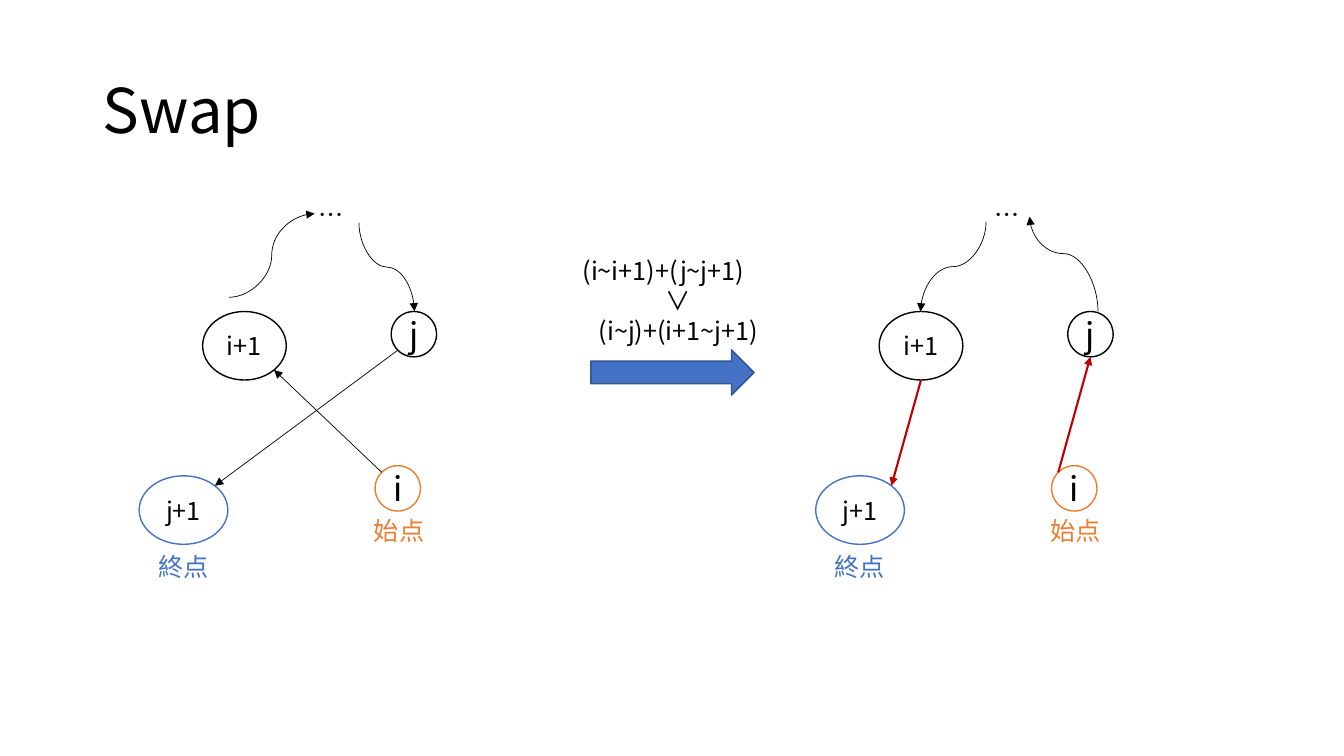
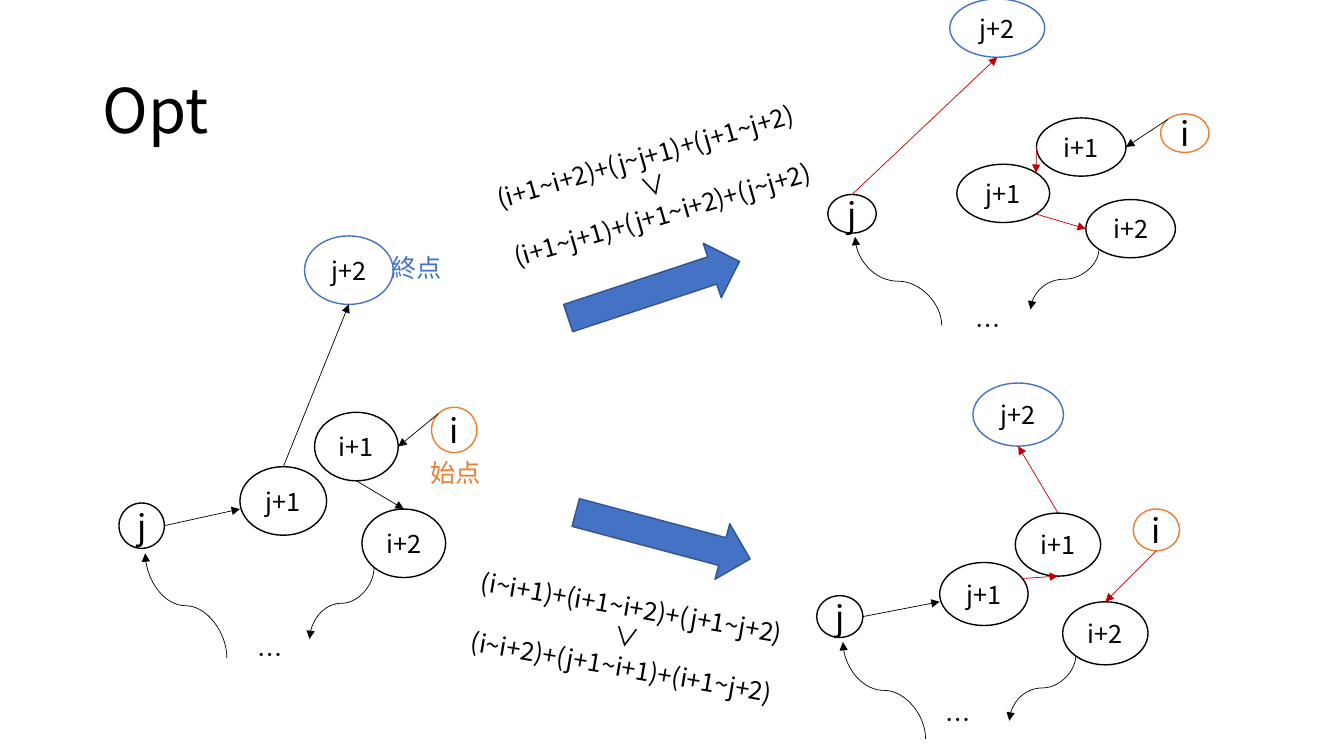
from math import cos, radians, sin

from lxml.etree import SubElement
from pptx import Presentation
from pptx.dml.color import RGBColor
from pptx.enum.shapes import MSO_CONNECTOR, MSO_SHAPE
from pptx.enum.text import MSO_ANCHOR, MSO_AUTO_SIZE, PP_ALIGN
from pptx.oxml.ns import qn
from pptx.util import Emu, Pt

PX = 9144  # 100 px to the inch
FONT = "Noto Sans CJK JP"
COLORS = {"ink": "000000", "paper": "FFFFFF", "start": "ED7D31", "end": "4472C4",
          "arrow": "4472C4", "arrow_edge": "325491", "changed": "C00000"}
TITLE_BOX = (92, 40, 1150, 145)
LABEL_SIZE = (88, 40)
DOTS_SIZE = (60, 40)
NODE_SIZES = {"i": (45, 45), "j": (45, 45), "i+1": (83, 68), "i+2": (83, 68),
              "j+1": (86, 68), "end": (88, 68)}
# Angles of the connection points on a node, clockwise from the right
SITES = {"right": 0, "br": 45, "bottom": 90, "bl": 135,
         "left": 180, "tl": 225, "top": 270, "tr": 315}

# Ends of an edge are (node, site) or a point (x, y)
SWAP_NODES = {"i": (372, 462), "i+1": (201, 309), "j": (388, 309), "j+1": (138, 472)}
SWAP_LABELS = [("始点", "start", 361, 506), ("終点", "end", 147, 542)]
SWAP_BEFORE = {
    "nodes": SWAP_NODES, "end": "j+1", "labels": SWAP_LABELS, "dots": (328, 193),
    "edges": [(("i", "tl"), ("i+1", "br"), "ink"),
              (("j", "bl"), ("j+1", "tr"), "ink")],
    "curves": [((227, 295), (312, 212), "across", 50),
               ((356, 221), (411, 309), "upright", 50)],
}
SWAP_AFTER = {
    "nodes": SWAP_NODES, "end": "j+1", "labels": SWAP_LABELS, "dots": (328, 193),
    "shift": 671, "edge_width": 1.5,
    "edges": [(("i", "tl"), ("j", "bottom"), "changed"),
              (("i+1", "bottom"), ("j+1", "tr"), "changed")],
    "curves": [((307, 220), (242, 309), "upright", 50),
               ((418, 309), (350, 215), "upright", 61)],
}
OPT_BEFORE = {
    "nodes": {"i": (428, 404), "i+1": (312, 409), "j": (118, 499),
              "j+2": (302, 234), "i+2": (359, 505), "j+1": (238, 463)},
    "end": "j+2", "dots": (268, 629),
    "labels": [("始点", "start", 417, 449), ("終点", "end", 378, 245)],
    "edges": [(("i", "tl"), ("i+1", "right"), "ink"),
              (("j+1", "top"), ("j+2", "bottom"), "ink"),
              (("j", "right"), (238, 505), "ink"),
              (("i+1", "bottom"), ("i+2", "top"), "ink")],
    "curves": [((225, 653), (144, 549), "upright", 50),
               ((371, 563), (307, 634), "upright", 50)],
}
OPT_UPPER = {
    "nodes": {"i": (1151, 113), "i+1": (1028, 117), "j": (821, 193),
              "j+2": (942, -1), "i+2": (1077, 198), "j+1": (949, 163)},
    "end": "j+2", "dots": (980, 303), "scale": (1.07, 0.85),
    "edges": [(("i", "tl"), ("i+1", "right"), "ink"),
              (("j", "top"), ("j+2", "bottom"), "changed"),
              (("j+1", "br"), ("i+2", "left"), "changed"),
              (("i+1", "left"), ("j+1", "tr"), "changed")],
    "curves": [((934, 323), (848, 235), "upright", 50),
               ((1090, 247), (1022, 307), "upright", 50)],
}
OPT_LOWER = {
    "nodes": {"i": (1124, 505), "i+1": (1007, 509), "j": (810, 591),
              "j+2": (965, 380), "i+2": (1054, 597), "j+1": (932, 558)},
    "end": "j+2", "dots": (950, 694), "scale": (1.02, 0.92),
    "edges": [(("i", "bottom"), ("i+2", "top"), "changed"),
              (("i+1", "top"), ("j+2", "bottom"), "changed"),
              (("j", "right"), (932, 597), "ink"),
              ((1013, 574), ("i+1", "bottom"), "changed")],
    "curves": [((918, 733), (836, 637), "upright", 50),
               ((1067, 650), (1001, 715), "upright", 50)],
}
# Moves: arrow box, arrow angle, formula box, formula angle, formula lines
SLIDES = [
    {"title": "Swap", "graphs": [SWAP_BEFORE, SWAP_AFTER], "first_line": PP_ALIGN.LEFT,
     "moves": [((586, 347, 162, 45), 0, (568, 248, 210, 101), 0,
                ["(i~i+1)+(j~j+1)", "∨", "(i~j)+(i+1~j+1)"])]},
    {"title": "Opt", "graphs": [OPT_BEFORE, OPT_UPPER, OPT_LOWER],
     "first_line": PP_ALIGN.CENTER,
     "moves": [((559, 259, 179, 57), -18.3, (442, 134, 413, 101), -16.1,
                ["(i+1~i+2)+(j~j+1)+(j+1~j+2)", "∨", "(i+1~j+1)+(j+1~i+2)+(j~j+2)"]),
               ((568, 503, 179, 57), 14.9, (415, 582, 413, 101), 9.8,
                ["(i~i+1)+(i+1~i+2)+(j+1~j+2)", "∨", "(i~i+2)+(j+1~i+1)+(i+1~j+2)"])]},
]


def emu(*lengths):
    return [Emu(round(length * PX)) for length in lengths]


def rgb(name):
    return RGBColor.from_string(COLORS[name])


def write(shape, lines, size, color="ink", align=PP_ALIGN.LEFT):
    frame = shape.text_frame
    frame.text = "\n".join(lines)
    for paragraph in frame.paragraphs:
        paragraph.alignment = align
        for run in paragraph.runs:
            run.font.size = Pt(size)
            run.font.name = FONT
            run.font.color.rgb = rgb(color)
            SubElement(run.font._element, qn("a:ea")).set("typeface", FONT)
    return frame


def add_text(slide, box, lines, size=18, color="ink", align=PP_ALIGN.LEFT):
    frame = write(slide.shapes.add_textbox(*emu(*box)), lines, size, color, align)
    frame.word_wrap = True
    return frame


def add_outlined(slide, kind, box, fill, line):
    shape = slide.shapes.add_shape(kind, *emu(*box))
    shape.shadow.inherit = False
    shape.fill.solid()
    shape.fill.fore_color.rgb = rgb(fill)
    shape.line.color.rgb = rgb(line)
    shape.line.width = Pt(1)
    return shape


def add_node(slide, name, box, outline):
    node = add_outlined(slide, MSO_SHAPE.FLOWCHART_CONNECTOR, box, "paper", outline)
    frame = write(node, [name], 24 if len(name) == 1 else 18, align=PP_ALIGN.CENTER)
    frame.vertical_anchor = MSO_ANCHOR.MIDDLE
    frame.word_wrap = False
    frame.margin_left = frame.margin_right = frame.margin_top = frame.margin_bottom = 0


def add_arrow_line(slide, kind, start, end, color="ink", width=0.5):
    arrow = slide.shapes.add_connector(kind, *emu(*start, *end))
    arrow.line.color.rgb = rgb(color)
    arrow.line.width = Pt(width)
    SubElement(arrow.line._get_or_add_ln(), qn("a:tailEnd")).set("type", "triangle")
    SubElement(arrow._element.spPr, qn("a:effectLst"))
    return arrow


def add_curve(slide, start, end, direction, bend):
    turn = 0
    if direction == "upright":
        # Lay the curve down around its centre, then turn it by a quarter
        turn = 1 if end[1] > start[1] and end[0] < start[0] else -1
        cx, cy = (start[0] + end[0]) / 2, (start[1] + end[1]) / 2
        start, end = [(cx + turn * (y - cy), cy - turn * (x - cx)) for x, y in (start, end)]
    curve = add_arrow_line(slide, MSO_CONNECTOR.CURVE, start, end)
    properties = curve._element.spPr
    if turn:
        properties.find(qn("a:xfrm")).set("rot", str(turn % 4 * 5400000))
    if bend != 50:
        guide = SubElement(properties.find(qn("a:prstGeom")).find(qn("a:avLst")), qn("a:gd"))
        guide.set("name", "adj1")
        guide.set("fmla", f"val {bend * 1000}")


def edge_point(end, boxes):
    if end[0] not in boxes:
        return end
    x, y, w, h = boxes[end[0]]
    angle = radians(SITES[end[1]])
    return x + w / 2 * (1 + cos(angle)), y + h / 2 * (1 + sin(angle))


def add_graph(slide, graph):
    shift = graph.get("shift", 0)
    sx, sy = graph.get("scale", (1, 1))
    # Nodes
    boxes = {}
    for name, (x, y) in graph["nodes"].items():
        role = "end" if name == graph["end"] else name
        w, h = NODE_SIZES[role]
        boxes[name] = (x + shift, y, w * sx, h * sy)
        add_node(slide, name, boxes[name], {"i": "start", "end": "end"}.get(role, "ink"))
    # Edges and curves
    for start, end, color in graph["edges"]:
        add_arrow_line(slide, MSO_CONNECTOR.STRAIGHT, edge_point(start, boxes),
                       edge_point(end, boxes), color, graph.get("edge_width", 0.5))
    for (x1, y1), (x2, y2), direction, bend in graph["curves"]:
        add_curve(slide, (x1 + shift, y1), (x2 + shift, y2), direction, bend)
    # Dots and labels
    x, y = graph["dots"]
    add_text(slide, (x + shift - DOTS_SIZE[0] / 2, y, *DOTS_SIZE), ["…"],
             align=PP_ALIGN.CENTER)
    for label, color, x, y in graph.get("labels", []):
        add_text(slide, (x + shift, y, *LABEL_SIZE), [label], color=color)


def add_move(slide, move, first_line):
    arrow_box, arrow_angle, formula_box, formula_angle, lines = move
    arrow = add_outlined(slide, MSO_SHAPE.RIGHT_ARROW, arrow_box, "arrow", "arrow_edge")
    arrow.rotation = arrow_angle
    formula = slide.shapes.add_textbox(*emu(*formula_box))
    formula.rotation = formula_angle
    frame = write(formula, lines, 18, align=PP_ALIGN.CENTER)
    frame.word_wrap = True
    frame.auto_size = MSO_AUTO_SIZE.SHAPE_TO_FIT_TEXT
    frame.paragraphs[0].alignment = first_line


def main():
    deck = Presentation()
    deck.slide_width, deck.slide_height = emu(1333, 750)
    for content in SLIDES:
        slide = deck.slides.add_slide(deck.slide_layouts[6])
        title = add_text(slide, TITLE_BOX, [content["title"]], 44)
        title.vertical_anchor = MSO_ANCHOR.MIDDLE
        title.paragraphs[0].line_spacing = 0.9
        for graph in content["graphs"]:
            add_graph(slide, graph)
        for move in content["moves"]:
            add_move(slide, move, content["first_line"])
    deck.save("out.pptx")


if __name__ == "__main__":
    main()
